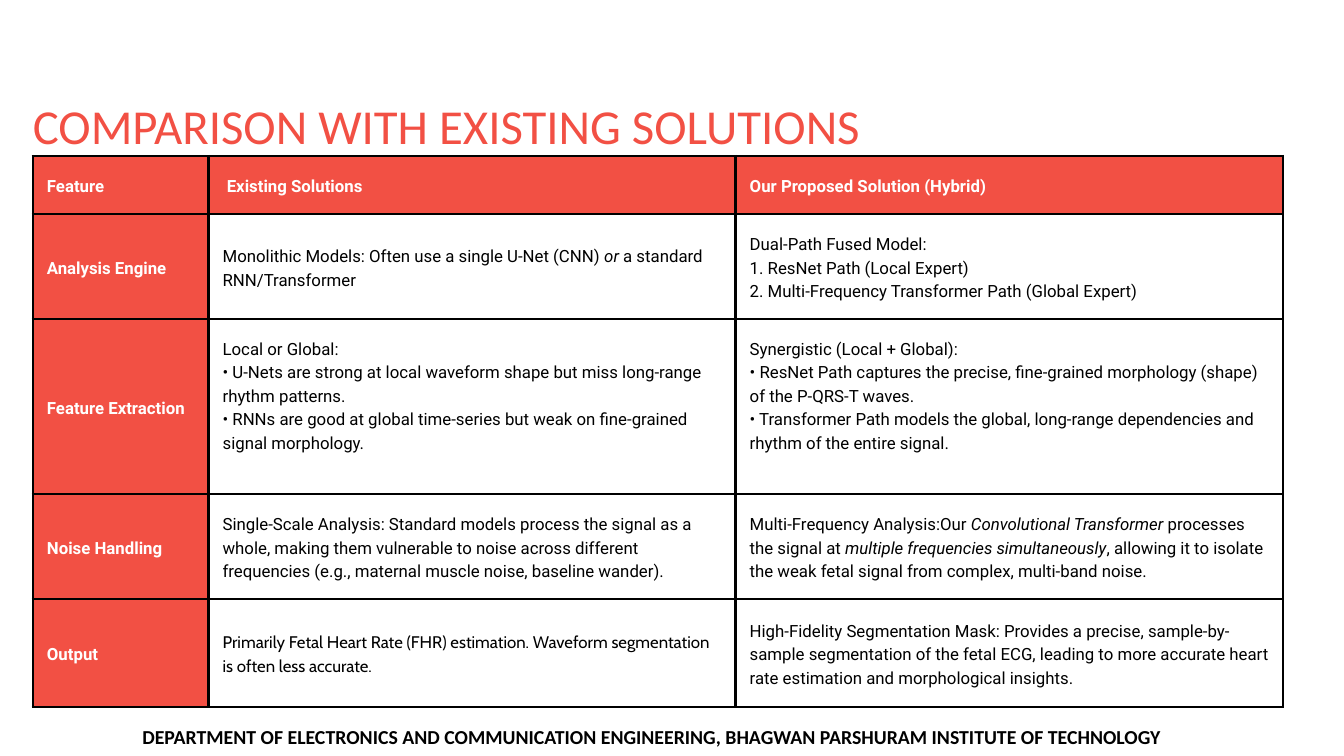
import dataclasses

import pptx
import pptx.dml.color
import pptx.enum.text
import pptx.oxml.ns
import pptx.util
from lxml import etree


@dataclasses.dataclass(frozen=True)
class Theme:
    accent: str = "F25044"
    ink: str = "000000"
    paper: str = "FFFFFF"
    heading_font: str = "Calibri"
    body_font: str = "Roboto"
    alt_font: str = "Cabin"
    title_size: float = 52.3
    title_leading: float = 55.4
    footer_size: float = 21.2
    footer_leading: float = 22.4
    cell_size: float = 18
    cell_leading: float = 25.2
    border: float = 3


def px(n):
    return pptx.util.Emu(n * 9525)


def rgb(color):
    return pptx.dml.color.RGBColor.from_string(color)


class Deck:
    def __init__(self, prs, theme):
        self.theme = theme
        self.s = prs.slides.add_slide(prs.slide_layouts[6])

    def style(self, p, font, size, color, leading, bold=False):
        p.line_spacing = pptx.util.Pt(leading)
        for r in p.runs:
            r.font.name = font
            r.font.size = pptx.util.Pt(size)
            r.font.bold = bold
            r.font.color.rgb = rgb(color)

    def text(self, box, text, size, color, leading, bold=False, align=None):
        tf = self.s.shapes.add_textbox(*map(px, box)).text_frame
        tf.margin_left = tf.margin_right = tf.margin_top = tf.margin_bottom = 0
        tf.word_wrap = True
        tf.auto_size = pptx.enum.text.MSO_AUTO_SIZE.SHAPE_TO_FIT_TEXT
        tf.text = text
        p = tf.paragraphs[0]
        p.alignment = align
        self.style(p, self.theme.heading_font, size, color, leading, bold)

    def borders(self, cell):
        tc_pr = cell._tc.get_or_add_tcPr()
        for side in ("a:lnL", "a:lnR", "a:lnT", "a:lnB"):
            ln = etree.SubElement(tc_pr, pptx.oxml.ns.qn(side),
                                  w=str(pptx.util.Pt(self.theme.border)))
            fill = etree.SubElement(ln, pptx.oxml.ns.qn("a:solidFill"))
            etree.SubElement(fill, pptx.oxml.ns.qn("a:srgbClr"), val=self.theme.ink)

    def cell(self, cell, text, label, font, bottom):
        t = self.theme
        self.borders(cell)
        if label:
            cell.fill.solid()
            cell.fill.fore_color.rgb = rgb(t.accent)
        else:
            cell.fill.background()
        cell.vertical_anchor = pptx.enum.text.MSO_ANCHOR.MIDDLE
        cell.margin_left = cell.margin_right = cell.margin_top = px(20)
        cell.margin_bottom = px(bottom)
        tf = cell.text_frame
        for i, line in enumerate(text.split("\n")):
            p = tf.add_paragraph() if i else tf.paragraphs[0]
            for j, part in enumerate(line.split("*")):
                r = p.add_run()
                r.text = part
                r.font.italic = j % 2 == 1
            self.style(p, font, t.cell_size, t.paper if label else t.ink,
                       t.cell_leading, label)

    def table(self, left, top, widths, heights, rows, fonts, bottoms):
        frame = self.s.shapes.add_table(len(heights), len(widths), px(left), px(top),
                                        px(sum(widths)), px(sum(heights)))
        table = frame.table
        table.first_row = table.horz_banding = False
        for column, width in zip(table.columns, widths):
            column.width = px(width)
        for i, (height, row) in enumerate(zip(heights, rows)):
            table.rows[i].height = px(height)
            for j, text in enumerate(row):
                self.cell(table.cell(i, j), text, i == 0 or j == 0,
                          fonts.get((i, j), self.theme.body_font),
                          bottoms.get((i, j), 20))


COMPARISON = [
    ("Feature", " Existing Solutions", "Our Proposed Solution (Hybrid)"),
    ("Analysis Engine",
     "Monolithic Models: Often use a single U-Net (CNN) *or* a standard RNN/Transformer",
     "Dual-Path Fused Model:\n"
     "1. ResNet Path (Local Expert)\n"
     "2. Multi-Frequency Transformer Path (Global Expert)"),
    ("Feature Extraction",
     "Local or Global:\n"
     "• U-Nets are strong at local waveform shape but miss long-range rhythm patterns.\n"
     "• RNNs are good at global time-series but weak on fine-grained signal morphology.",
     "Synergistic (Local + Global):\n"
     "• ResNet Path captures the precise, fine-grained morphology (shape) "
     "of the P-QRS-T waves.\n"
     "• Transformer Path models the global, long-range dependencies and "
     "rhythm of the entire signal."),
    ("Noise Handling",
     "Single-Scale Analysis: Standard models process the signal as a whole, "
     "making them vulnerable to noise across different frequencies "
     "(e.g., maternal muscle noise, baseline wander).",
     "Multi-Frequency Analysis:Our *Convolutional Transformer* processes the signal at "
     "*multiple frequencies simultaneously*, allowing it to isolate the weak fetal "
     "signal from complex, multi-band noise."),
    ("Output",
     "Primarily Fetal Heart Rate (FHR) estimation. "
     "Waveform segmentation is often less accurate.",
     "High-Fidelity Segmentation Mask: Provides a precise, sample-by-sample "
     "segmentation of the fetal ECG, leading to more accurate heart rate "
     "estimation and morphological insights."),
]


def main():
    prs = pptx.Presentation()
    prs.slide_width, prs.slide_height = px(1920), px(1080)
    theme = Theme()
    deck = Deck(prs, theme)
    deck.table(47, 223, (251, 753, 782), (83, 150, 250, 150, 154), COMPARISON,
               fonts={(4, 1): theme.alt_font}, bottoms={(2, 1): 54, (2, 2): 54})
    deck.text((-5, 1039, 1873, 73),
              "DEPARTMENT OF ELECTRONICS AND COMMUNICATION ENGINEERING, "
              "BHAGWAN PARSHURAM INSTITUTE OF TECHNOLOGY",
              theme.footer_size, theme.ink, theme.footer_leading, bold=True,
              align=pptx.enum.text.PP_ALIGN.CENTER)
    deck.text((47, 146, 1568, 77), "COMPARISON WITH EXISTING SOLUTIONS",
              theme.title_size, theme.accent, theme.title_leading)
    prs.save("out.pptx")


if __name__ == "__main__":
    main()
